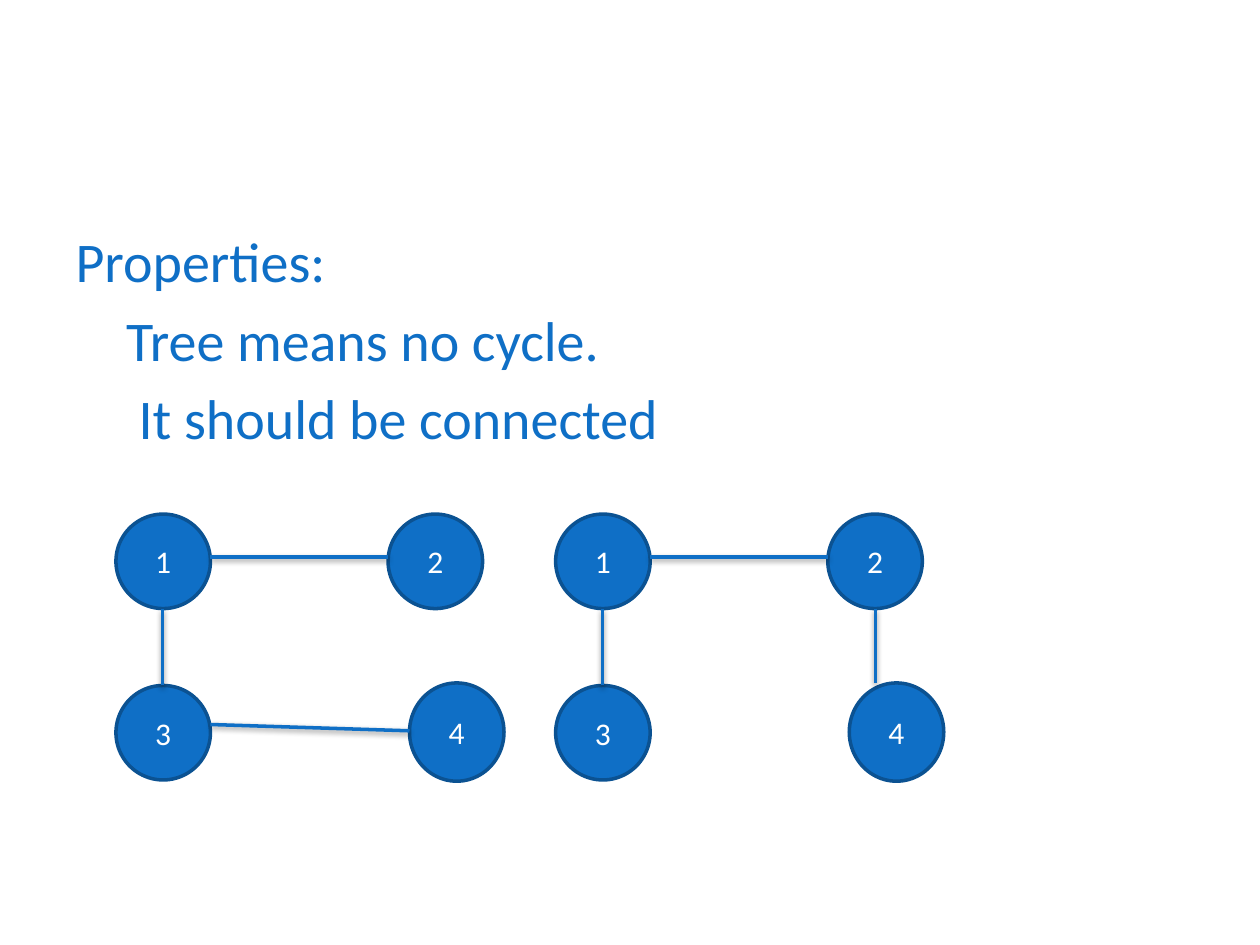
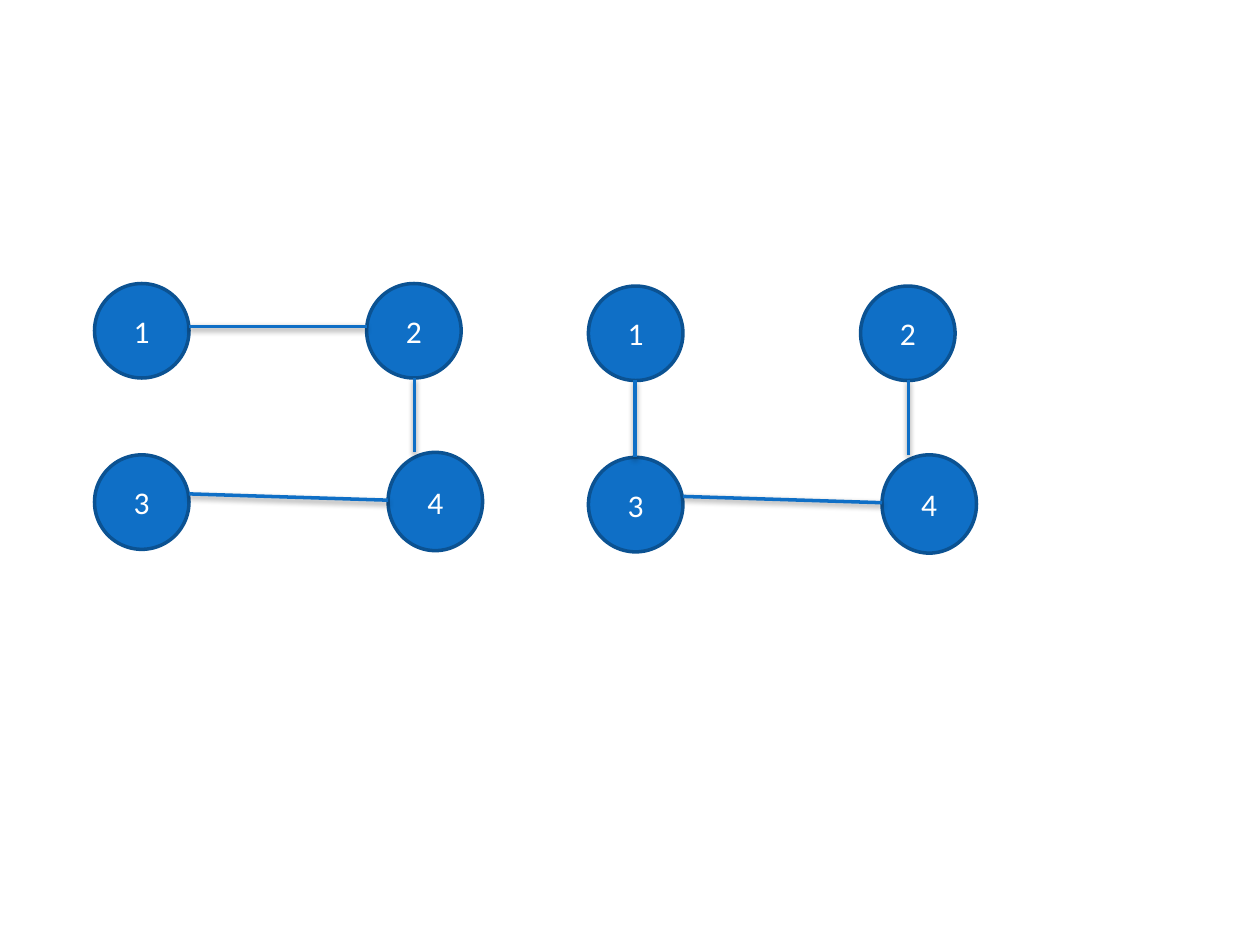
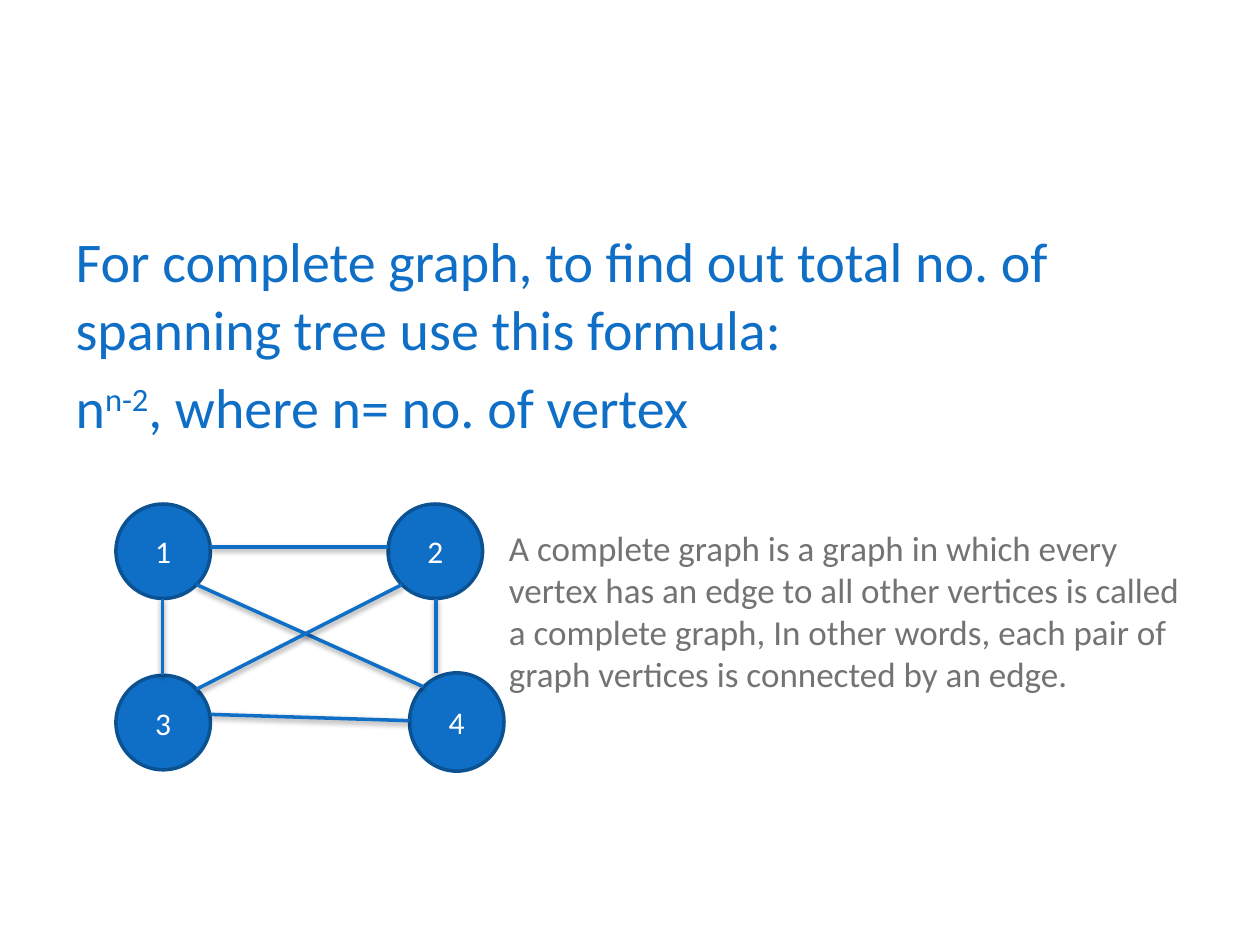
import pptx
import pptx.dml.color
import pptx.enum.shapes
import pptx.enum.text
import pptx.oxml
import pptx.oxml.ns
import pptx.util

SCALE = 9144  # EMU per px, 100 px to the inch
BLUE, NAVY, GREY, WHITE = "0F6FC6", "0B5292", "737373", "FFFFFF"
FONT = "Calibri"

# Node boxes and edge ends, relative to the top left of a graph
NODES = {
    "1": (0, 0, 75, 75),
    "2": (216, 0, 75, 75),
    "3": (0, 136, 75, 75),
    "4": (233, 134, 75, 78),
}
EDGES = {
    "12": (75, 34, 216, 34),
    "13": (37, 75, 37, 136),
    "34": (75, 167, 233, 172),
    "24": (254, 75, 254, 134),
    "14": (64, 64, 244, 145),
    "23": (227, 64, 64, 147),
}
SHADOW = (
    f'<a:effectLst {pptx.oxml.ns.nsdecls("a")}>'
    '<a:outerShdw blurRad="40000" dist="20000" dir="5400000" rotWithShape="0">'
    '<a:srgbClr val="000000"><a:alpha val="38000"/></a:srgbClr>'
    "</a:outerShdw></a:effectLst>"
)


def px(*sizes):
    return [pptx.util.Emu(size * SCALE) for size in sizes]


def color(code):
    return pptx.dml.color.RGBColor.from_string(code)


class Deck:
    def __init__(self):
        self.file = pptx.Presentation()
        self.file.slide_width, self.file.slide_height = px(1000, 750)
        self.slide = None

    def page(self, layout):
        layouts = self.file.slide_layouts
        self.slide = self.file.slides.add_slide(layouts.get_by_name(layout))

    def style(self, para, size, code):
        for run in para.runs:
            run.font.name = FONT
            run.font.size = pptx.util.Pt(size)
            run.font.color.rgb = color(code)

    def line(self, shape, code):
        shape.line.color.rgb = color(code)
        shape.line.width = pptx.util.Pt(2)

    def body(self, height, rows):
        """Fill the body with rows of (indent, plain and raised texts in turn)."""
        title = self.slide.shapes.title
        title.element.getparent().remove(title.element)
        body = self.slide.placeholders[1]
        body.left, body.top, body.width, body.height = px(50, 175, 900, height)
        frame = body.text_frame
        for i, (indent, *parts) in enumerate(rows):
            para = frame.add_paragraph() if i else frame.paragraphs[0]
            for j, part in enumerate(parts):
                run = para.add_run()
                run.text = part
                if j % 2:
                    run._r.get_or_add_rPr().set("baseline", "30000")
            props = para._p.get_or_add_pPr()
            props.set("marL", str(indent * SCALE))
            props.set("indent", "0")
            props.append(pptx.oxml.parse_xml(
                f'<a:buNone {pptx.oxml.ns.nsdecls("a")}/>'))
            self.style(para, 32, BLUE)

    def node(self, name, box):
        oval = self.slide.shapes.add_shape(
            pptx.enum.shapes.MSO_SHAPE.OVAL, *px(*box))
        oval.shadow.inherit = False
        oval.fill.solid()
        oval.fill.fore_color.rgb = color(BLUE)
        self.line(oval, NAVY)
        frame = oval.text_frame
        frame.text = name
        frame.vertical_anchor = pptx.enum.text.MSO_ANCHOR.MIDDLE
        frame.paragraphs[0].alignment = pptx.enum.text.PP_ALIGN.CENTER
        self.style(frame.paragraphs[0], 18, WHITE)

    def edge(self, ends):
        edge = self.slide.shapes.add_connector(
            pptx.enum.shapes.MSO_CONNECTOR.STRAIGHT, *px(*ends))
        self.line(edge, BLUE)
        edge._element.spPr.append(pptx.oxml.parse_xml(SHADOW))

    def graph(self, x, y, edges):
        for name, (left, top, width, height) in NODES.items():
            self.node(name, (x + left, y + top, width, height))
        for key in edges.split():
            x1, y1, x2, y2 = EDGES[key]
            self.edge((x + x1, y + y1, x + x2, y + y2))

    def note(self, box, text):
        frame = self.slide.shapes.add_textbox(*px(*box)).text_frame
        frame.word_wrap = True
        frame.text = text
        self.style(frame.paragraphs[0], 20, GREY)


def main():
    deck = Deck()

    deck.page("Title and Content")
    deck.body(495, [
        (0, "Properties:"),
        (40, "Tree means no cycle."),
        (50, "It should be connected"),
    ])
    deck.graph(92, 408, "12 13 34")
    deck.graph(441, 408, "12 13 24")

    deck.page("Blank")
    deck.graph(75, 225, "12 34 24")
    deck.graph(467, 227, "13 34 24")

    deck.page("Title and Content")
    deck.body(450, [
        (0, "For complete graph, to find out total no. of "
            "spanning tree use this formula:"),
        (0, "n", "n-2", ", where n= no. of vertex"),
    ])
    deck.graph(92, 400, "12 13 34 24 14 23")
    deck.note((394, 413, 555, 145),
              "A complete graph is a graph in which every vertex has an edge "
              "to all other vertices is called a complete graph, In other "
              "words, each pair of graph vertices is connected by an edge.")

    deck.file.save("out.pptx")


if __name__ == "__main__":
    main()
